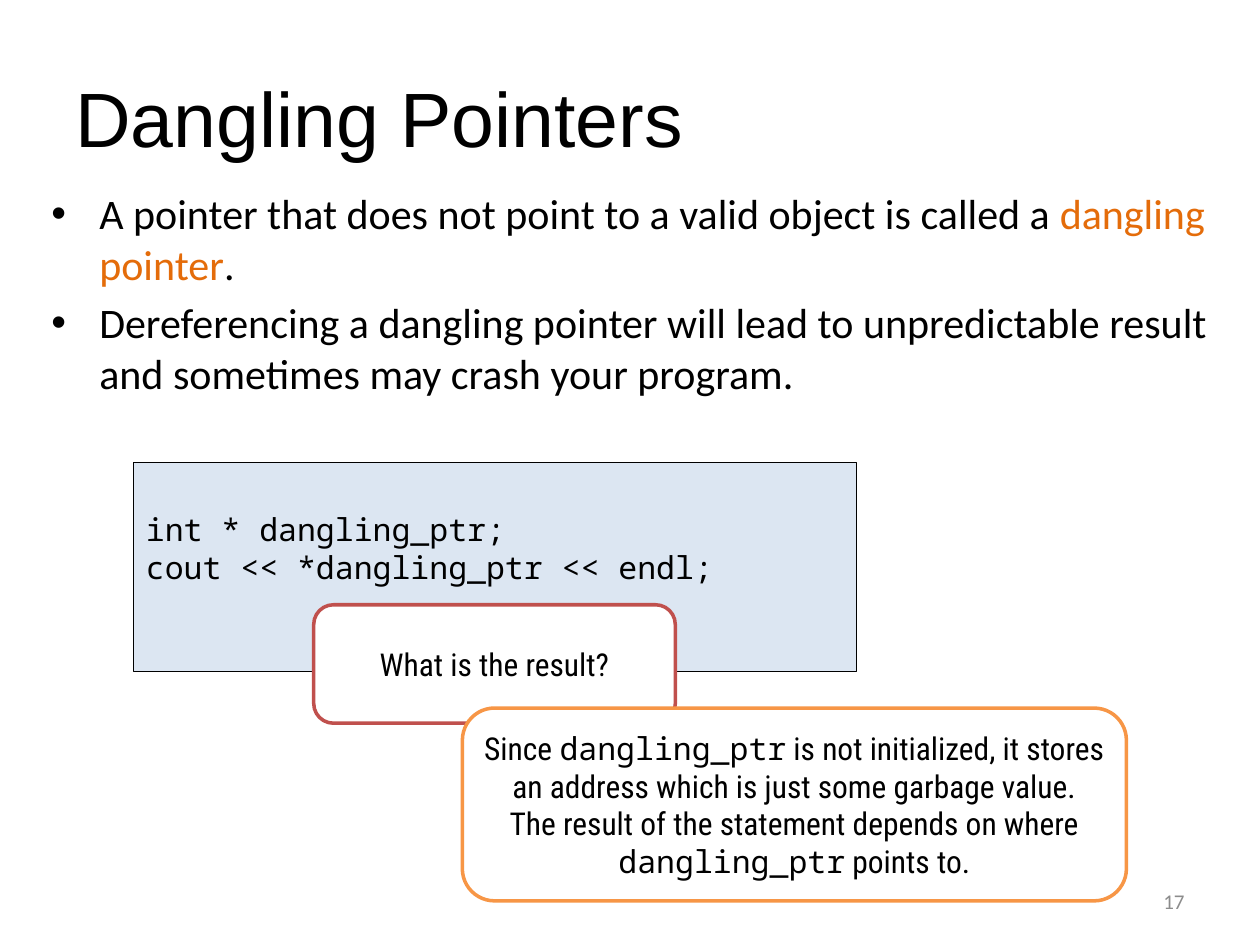
"""Build the slide that explains dangling pointers in C++."""
from dataclasses import dataclass, field
from typing import Optional

from lxml import etree
from pptx import Presentation
from pptx import util as u
from pptx.dml.color import RGBColor
from pptx.enum import shapes, text
from pptx.oxml import ns

BLACK = RGBColor(0x00, 0x00, 0x00)
WHITE = RGBColor(0xFF, 0xFF, 0xFF)
GRAY = RGBColor(0x8C, 0x8C, 0x8C)
PALE_BLUE = RGBColor(0xDC, 0xE6, 0xF2)
RED = RGBColor(0xC0, 0x50, 0x4D)
ORANGE = RGBColor(0xF7, 0x96, 0x46)
DARK_ORANGE = RGBColor(0xE4, 0x6C, 0x0A)

HEADING, BODY, CODE, NOTE = "Arial", "Calibri", "Noto Sans Mono", "Roboto Condensed"
LEFT, CENTER, RIGHT = text.PP_ALIGN.LEFT, text.PP_ALIGN.CENTER, text.PP_ALIGN.RIGHT
TOP, MIDDLE = text.MSO_ANCHOR.TOP, text.MSO_ANCHOR.MIDDLE
RECTANGLE = shapes.MSO_SHAPE.RECTANGLE
ROUNDED = shapes.MSO_SHAPE.ROUNDED_RECTANGLE


@dataclass(frozen=True)
class Span:
    """A stretch of text that may override the block's font or colour."""
    words: str
    font: Optional[str] = None
    color: Optional[RGBColor] = None


@dataclass(frozen=True)
class Block:
    """A text area, framed when it has an outline."""
    box: tuple[float, float, float, float]
    lines: list[list[Span]]
    font: str
    size: float
    color: RGBColor = BLACK
    align: text.PP_ALIGN = LEFT
    anchor: text.MSO_ANCHOR = MIDDLE
    bulleted: bool = False
    outline: Optional[RGBColor] = None
    geometry: shapes.MSO_SHAPE = ROUNDED
    fill: RGBColor = WHITE
    weight: float = 2
    frame_format: dict = field(default_factory=dict)


POINTER = Span("dangling_ptr", font=CODE)

BLOCKS = [
    Block((0.5, 0.3, 9, 1.25), [[Span("Dangling Pointers")]], HEADING, 44),
    Block(
        (0.31, 1.44, 9.69, 5.37),
        [
            [
                Span("A pointer that does not point to a valid object is called a "),
                Span("dangling pointer", color=DARK_ORANGE),
                Span("."),
            ],
            [Span("Dereferencing a dangling pointer will lead to unpredictable result "
                  "and sometimes may crash your program.")],
        ],
        BODY, 24, anchor=TOP, bulleted=True,
    ),
    Block((7.17, 6.95, 2.33, 0.4), [[Span("17")]], BODY, 12, GRAY, RIGHT),
    Block(
        (1.06, 3.67, 5.74, 1.66),
        [[Span("int * dangling_ptr;")], [Span("cout << *dangling_ptr << endl;")]],
        CODE, 18, outline=BLACK, geometry=RECTANGLE, fill=PALE_BLUE, weight=0.75,
        frame_format={"margin_bottom": u.Inches(0.35)},
    ),
    Block((2.49, 4.8, 2.87, 0.94), [[Span("What is the result?")]],
          NOTE, 18, align=CENTER, outline=RED),
    Block(
        (3.67, 5.62, 5.27, 1.53),
        [
            [
                Span("Since "),
                POINTER,
                Span(" is not initialized, it stores an address which is just "
                     "some garbage value."),
            ],
            [
                Span("The result of the statement depends on where "),
                POINTER,
                Span(" points to."),
            ],
        ],
        NOTE, 18, align=CENTER, outline=ORANGE,
    ),
]


def apply_format(target, values: dict) -> None:
    """Set each named attribute on the target."""
    for name, value in values.items():
        setattr(target, name, value)


def add_bullet(paragraph) -> None:
    """Give the paragraph a hanging round bullet."""
    paragraph.space_before = u.Pt(4.8)
    properties = paragraph._p.get_or_add_pPr()
    properties.set("marL", str(u.Inches(0.38)))
    properties.set("indent", str(u.Inches(-0.38)))
    etree.SubElement(properties, ns.qn("a:buFont"), typeface="Arial")
    etree.SubElement(properties, ns.qn("a:buChar"), char="•")


def add_frame(slide, block: Block):
    """Add the outlined shape or plain text box and return its text frame."""
    place = [u.Inches(length) for length in block.box]
    if block.outline is None:
        return slide.shapes.add_textbox(*place).text_frame
    panel = slide.shapes.add_shape(block.geometry, *place)
    panel.shadow.inherit = False
    panel.fill.solid()
    panel.fill.fore_color.rgb = block.fill
    panel.line.color.rgb = block.outline
    panel.line.width = u.Pt(block.weight)
    return panel.text_frame


def draw_block(slide, block: Block) -> None:
    """Draw one block with all its lines of text."""
    frame = add_frame(slide, block)
    apply_format(frame, {"word_wrap": True, "vertical_anchor": block.anchor,
                         **block.frame_format})
    for index, spans in enumerate(block.lines):
        paragraph = frame.add_paragraph() if index else frame.paragraphs[0]
        paragraph.alignment = block.align
        if block.bulleted:
            add_bullet(paragraph)
        for span in spans:
            run = paragraph.add_run()
            run.text = span.words
            apply_format(run.font, {"name": span.font or block.font,
                                    "size": u.Pt(block.size)})
            run.font.color.rgb = span.color or block.color


def main() -> None:
    """Create the presentation and save it."""
    deck = Presentation()
    apply_format(deck, {"slide_width": u.Inches(10), "slide_height": u.Inches(7.5)})
    slide = deck.slides.add_slide(deck.slide_layouts[6])
    for block in BLOCKS:
        draw_block(slide, block)
    deck.save("out.pptx")


if __name__ == "__main__":
    main()
